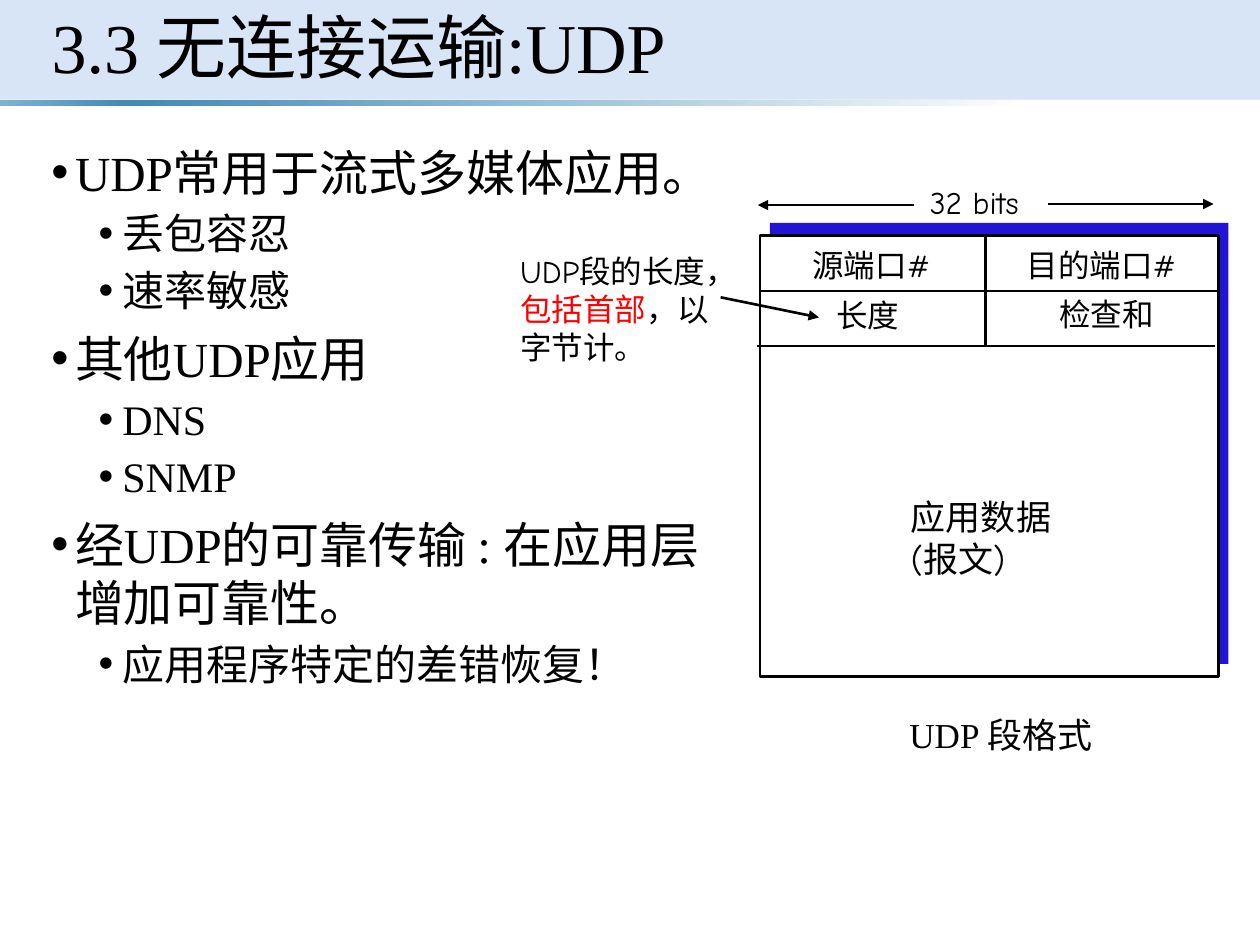
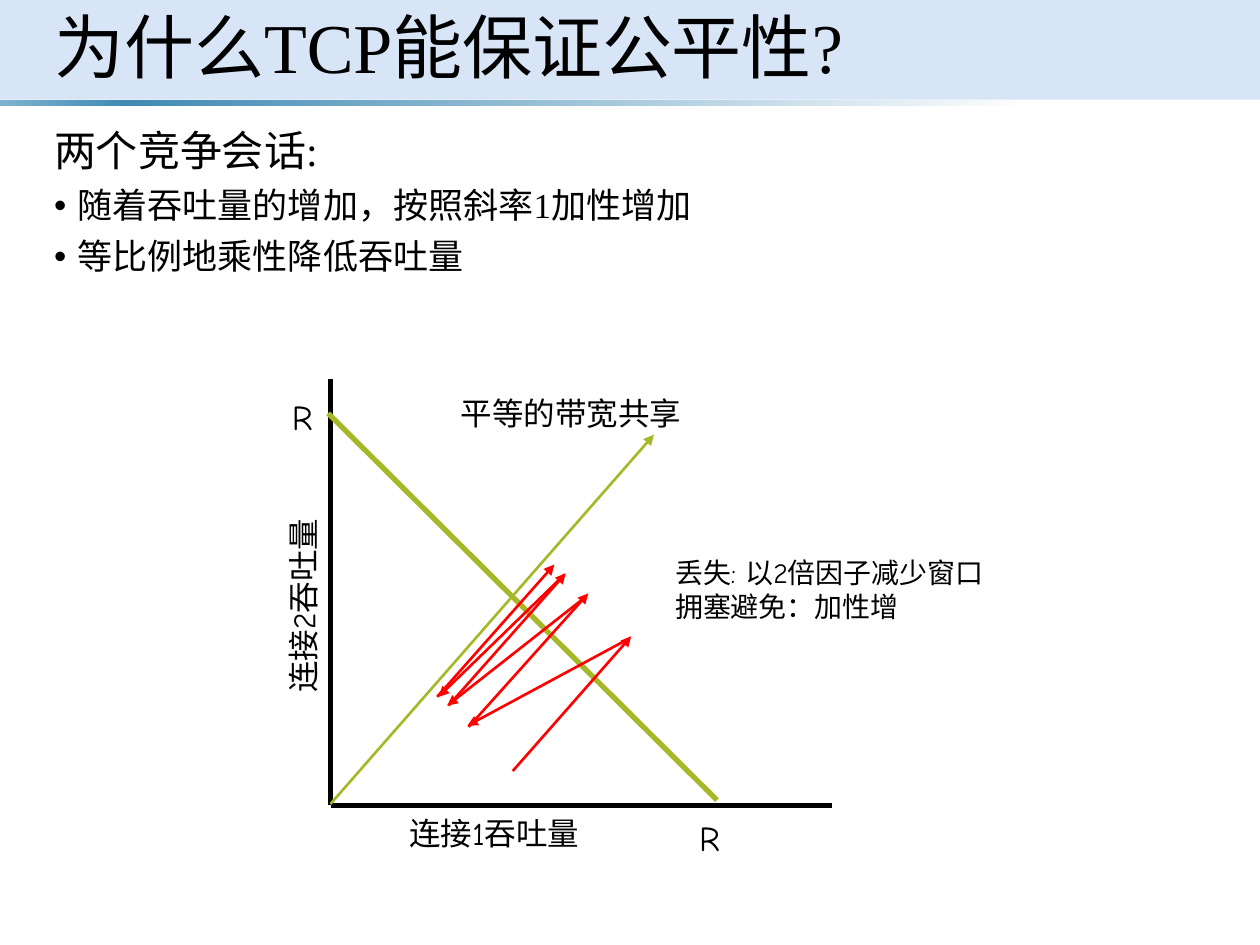
from dataclasses import dataclass
from typing import NamedTuple

from lxml import etree
from pptx import Presentation
from pptx.dml.color import RGBColor
from pptx.enum.shapes import MSO_CONNECTOR, MSO_SHAPE
from pptx.enum.text import MSO_ANCHOR, MSO_AUTO_SIZE, PP_ALIGN
from pptx.oxml.ns import qn
from pptx.util import Pt

RECTANGLE = MSO_SHAPE.RECTANGLE
STRAIGHT = MSO_CONNECTOR.STRAIGHT
LEFT = PP_ALIGN.LEFT
MIDDLE = MSO_ANCHOR.MIDDLE
NO_AUTOFIT = MSO_AUTO_SIZE.NONE
TITLE_ONLY = 5


@dataclass(frozen=True)
class Theme:
    ink: str = "000000"
    paper: str = "FFFFFF"
    accent: str = "FF0000"
    shadow: str = "2214D6"
    capacity: str = "A6B727"
    band: str = "C8DAF4"
    band_opacity: int = 70
    rule_stops: tuple[tuple[int, str], ...] = (
        (0, "7EB3D0"), (10, "418AB3"), (82, "FFFFFF"), (96, "FFFFFF"))
    serif: str = "Times New Roman"
    casual: str = "Comic Neue"
    title_size: float = 40
    body_size: float = 28
    lead_size: float = 24
    point_size: float = 20
    label_size: float = 18
    note_size: float = 16
    thin: float = 1.5
    thick: float = 3


THEME = Theme()


class Area(NamedTuple):
    left: float
    top: float
    width: float
    height: float


class Segment(NamedTuple):
    x1: float
    y1: float
    x2: float
    y2: float


class Span(NamedTuple):
    text: str
    color: str = THEME.ink


@dataclass(frozen=True)
class Label:
    area: Area
    paras: tuple[str, ...]
    size: float = THEME.label_size
    font: str = THEME.casual
    rotation: float = 0


@dataclass(frozen=True)
class Item:
    text: str
    size: float
    level: int = 0
    bullet: bool = True


def place(shape, area: Area) -> None:
    shape.left, shape.top, shape.width, shape.height = map(Pt, area)


def write(para, *spans: Span, size: float, font: str) -> None:
    for span in spans:
        run = para.add_run()
        run.text = span.text
        run.font.size = Pt(size)
        run.font.name = font
        run.font.color.rgb = RGBColor.from_string(span.color)


def add_box(shapes, area: Area):
    box = shapes.add_textbox(*map(Pt, area))
    box.text_frame.word_wrap = True
    return box


def add_label(shapes, label: Label) -> None:
    box = add_box(shapes, label.area)
    box.rotation = label.rotation
    frame = box.text_frame
    for index, text in enumerate(label.paras):
        para = frame.add_paragraph() if index else frame.paragraphs[0]
        write(para, Span(text), size=label.size, font=label.font)


def add_items(shapes, area: Area, items: list[Item], line_spacing: float) -> None:
    frame = add_box(shapes, area).text_frame
    for index, item in enumerate(items):
        para = frame.add_paragraph() if index else frame.paragraphs[0]
        para.level = item.level
        para.line_spacing = line_spacing
        para.space_before = Pt(3.75 if item.level else 7.5)
        write(para, Span(item.text), size=item.size, font=THEME.serif)
        properties = para._p.get_or_add_pPr()
        properties.set("marL", str(Pt(13.5 + 27 * item.level)))
        properties.set("indent", str(-Pt(13.5)))
        if item.bullet:
            font = etree.SubElement(properties, qn("a:buFont"))
            font.set("typeface", "Arial")
            etree.SubElement(properties, qn("a:buChar")).set("char", "•")


def add_rectangle(shapes, area: Area, fill: str, outlined: bool = False):
    shape = shapes.add_shape(RECTANGLE, *map(Pt, area))
    shape.shadow.inherit = False
    shape.fill.solid()
    shape.fill.fore_color.rgb = RGBColor.from_string(fill)
    if outlined:
        shape.line.color.rgb = RGBColor.from_string(THEME.ink)
        shape.line.width = Pt(THEME.thin)
    else:
        shape.line.fill.background()
    return shape


def add_line(shapes, segment: Segment, color: str = THEME.ink,
             width: float = THEME.thin, arrow: bool = False) -> None:
    line = shapes.add_connector(STRAIGHT, *map(Pt, segment))
    line.line.color.rgb = RGBColor.from_string(color)
    line.line.width = Pt(width)
    if arrow:
        tail = etree.SubElement(line.line._get_or_add_ln(), qn("a:tailEnd"))
        tail.set("type", "triangle")
    etree.SubElement(line.element.spPr, qn("a:effectLst"))


def fill_with_stops(shape, stops: tuple[tuple[int, str], ...]) -> None:
    """Give the shape a left-to-right gradient with any number of stops."""
    shape.fill.gradient()
    shape.fill.gradient_angle = 0
    stop_list = shape.element.spPr.find(".//" + qn("a:gsLst"))
    for stop in list(stop_list):
        stop_list.remove(stop)
    for position, color in stops:
        stop = etree.SubElement(stop_list, qn("a:gs"))
        stop.set("pos", str(position * 1000))
        etree.SubElement(stop, qn("a:srgbClr")).set("val", color)


def move_band_to_layout(page, layout) -> None:
    """Build the header band once and keep it on the shared layout."""
    band = add_rectangle(page.shapes, Area(0, 0, 720, 56.9), THEME.band)
    color = band.element.spPr.find(".//" + qn("a:srgbClr"))
    etree.SubElement(color, qn("a:alpha")).set("val", str(THEME.band_opacity * 1000))
    rule = add_rectangle(page.shapes, Area(0, 56.9, 720, 3.6), THEME.paper)
    fill_with_stops(rule, THEME.rule_stops)
    for offset, shape in enumerate((band, rule)):
        layout.shapes.element.insert(2 + offset, shape.element)


def set_title(page, text: str, left: float) -> None:
    title = page.shapes.title
    place(title, Area(left, 0, 675, 58.3))
    frame = title.text_frame
    frame.auto_size = NO_AUTOFIT
    frame.word_wrap = True
    frame.vertical_anchor = MIDDLE
    para = frame.paragraphs[0]
    para.alignment = LEFT
    para.line_spacing = 0.9
    write(para, Span(text), size=THEME.title_size, font=THEME.serif)


def build_udp(page) -> None:
    set_title(page, "3.3 无连接运输:UDP", 22.3)
    main, sub = THEME.body_size, THEME.lead_size
    add_items(page.shapes, Area(22.3, 77.8, 389.5, 344), [
        Item("UDP常用于流式多媒体应用。", main),
        Item("丢包容忍", sub, level=1),
        Item("速率敏感", sub, level=1),
        Item("其他UDP应用", main),
        Item("DNS", sub, level=1),
        Item("SNMP", sub, level=1),
        Item("经UDP的可靠传输 : 在应用层增加可靠性。", main),
        Item("应用程序特定的差错恢复！", sub, level=1),
    ], line_spacing=1.0)

    segment_format = page.shapes.add_group_shape().shapes
    add_rectangle(segment_format, Area(440, 127.4, 262, 252), THEME.shadow)
    add_rectangle(segment_format, Area(434.2, 134.6, 262, 252), THEME.paper, outlined=True)
    for divider in (
        Segment(433.5, 166.3, 695.5, 166.3),
        Segment(432.7, 197.8, 694.3, 197.8),
        Segment(563, 166, 563, 134.6),
        Segment(563, 197.8, 563, 167),
    ):
        add_line(segment_format, divider)
    for width_arrow in (Segment(599, 116.6, 693.5, 116.6), Segment(522, 117.2, 433, 117.2)):
        add_line(segment_format, width_arrow, arrow=True)
    for label in (
        Label(Area(457.2, 136.8, 83.5, 29), ("源端口#",)),
        Label(Area(579.6, 136.8, 101.5, 29), ("目的端口#",)),
        Label(Area(524.2, 100.8, 76, 29), ("32 bits",)),
        Label(Area(470.9, 165.6, 52, 29), ("长度",)),
        Label(Area(598.2, 165, 70, 29), ("检查和",)),
        Label(Area(513.4, 279.4, 96, 55), ("应用数据", "(报文)"), THEME.point_size),
        Label(Area(512.6, 404, 120, 31), ("UDP 段格式",), THEME.point_size, THEME.serif),
    ):
        add_label(segment_format, label)

    note = add_box(page.shapes, Area(290.2, 140.4, 122.4, 72.7))
    write(note.text_frame.paragraphs[0], Span("UDP段的长度，"),
          Span("包括首部", THEME.accent), Span("，以字节计。"),
          size=THEME.label_size, font=THEME.casual)
    add_line(page.shapes, Segment(411.8, 169.9, 468, 181.4), arrow=True)


def build_fairness(page) -> None:
    set_title(page, "为什么TCP能保证公平性?", 23.8)
    shapes = page.shapes
    add_items(shapes, Area(23.8, 70.6, 678, 406), [
        Item("两个竞争会话:", THEME.lead_size, bullet=False),
        Item("随着吞吐量的增加，按照斜率1加性增加", THEME.point_size),
        Item("等比例地乘性降低吞吐量", THEME.point_size),
    ], line_spacing=0.9)

    x_axis = Segment(188.9, 460.5, 475.2, 460.5)
    y_axis = Segment(188.9, 460, 188.9, 216.7)
    for axis in (x_axis, y_axis):
        add_line(shapes, axis, width=THEME.thick)
    equal_share = Segment(188.9, 459.4, 373.7, 248.4)
    add_line(shapes, equal_share, THEME.capacity, arrow=True)
    full_use = Segment(187.5, 236.2, 409.7, 457.2)
    add_line(shapes, full_use, THEME.capacity, THEME.thick)

    increases_and_losses = (
        Segment(293, 440.6, 360.7, 363.6),
        Segment(359.3, 365, 267.1, 414.7),
        Segment(267.8, 415.4, 336.2, 339.1),
        Segment(332.6, 342.7, 255.6, 403.2),
        Segment(256.3, 403.2, 323.3, 327.6),
        Segment(322.6, 328.3, 250.6, 398.2),
        Segment(249.8, 398.2, 316.8, 322.6),
    )
    for step in increases_and_losses:
        add_line(shapes, step, THEME.accent, arrow=True)

    note = Area(378.7, 313.9, 193.7, 46)
    for label in (
        Label(Area(159.8, 222.5, 31.7, 31), ("R",), THEME.point_size),
        Label(Area(392.4, 463, 31.7, 31), ("R",), THEME.point_size),
        Label(Area(256.3, 221.8, 279.4, 29), ("平等的带宽共享",)),
        Label(Area(226.8, 461.5, 197.3, 29), ("连接1吞吐量",)),
        Label(Area(82.1, 297.4, 182.2, 29), ("连接2吞吐量",), rotation=270),
    ):
        add_label(shapes, label)
    frame = add_box(shapes, note).text_frame
    write(frame.paragraphs[0], Span("丢失: 以2倍因子减少窗口"),
          size=THEME.note_size, font=THEME.casual)
    write(frame.add_paragraph(), Span("拥塞避免：加性增"),
          size=THEME.note_size, font=THEME.serif)


def main() -> None:
    deck = Presentation()
    deck.slide_width, deck.slide_height = Pt(720), Pt(540)
    layout = deck.slide_layouts[TITLE_ONLY]
    for index, build in enumerate((build_udp, build_fairness)):
        page = deck.slides.add_slide(layout)
        if index == 0:
            move_band_to_layout(page, layout)
        build(page)
    deck.save("out.pptx")


if __name__ == "__main__":
    main()
